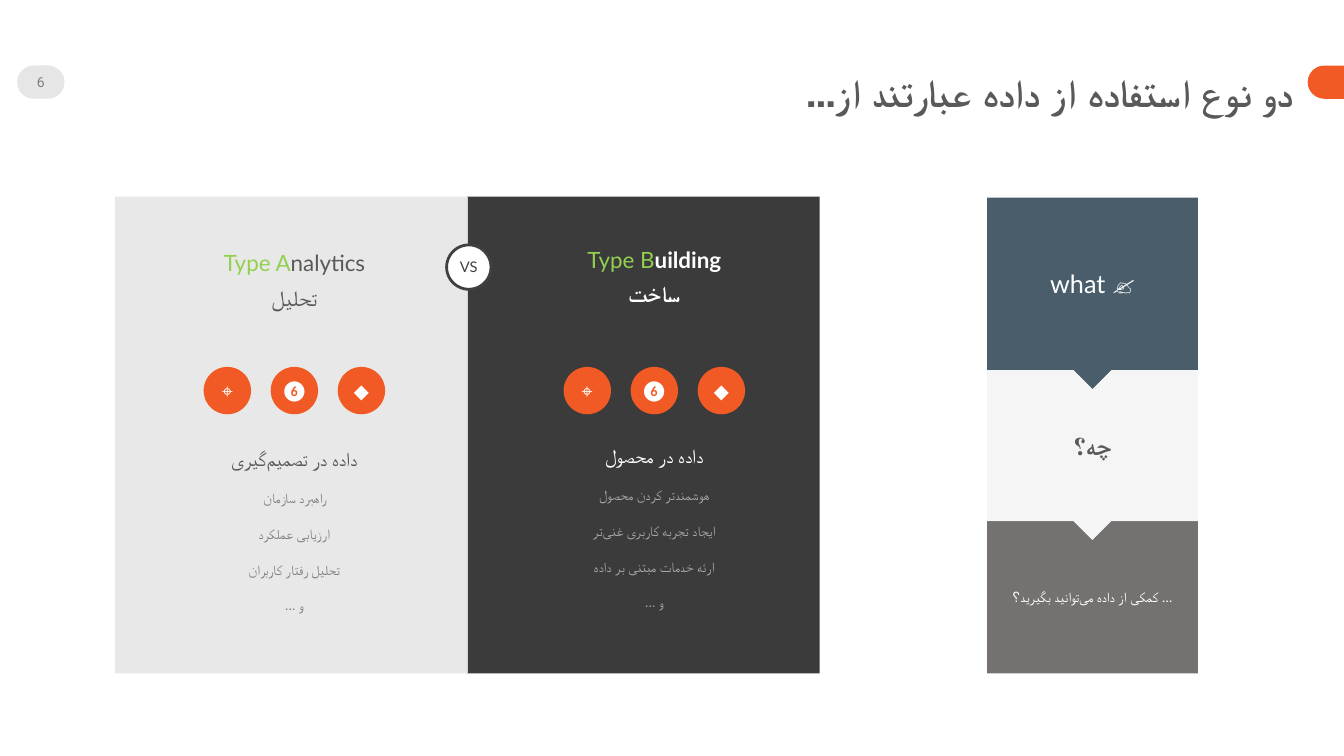
from lxml.etree import SubElement
from pptx import Presentation
from pptx.dml.color import RGBColor
from pptx.enum.shapes import MSO_SHAPE
from pptx.enum.text import MSO_ANCHOR, PP_ALIGN
from pptx.oxml.ns import qn
from pptx.util import Inches, Pt

ORANGE, GREEN, WHITE = "F15A24", "92D050", "FFFFFF"
DARK_TEXT, GREY_TEXT = "595959", "808080"
ICONS = ["⌖", "❻", "◆"]
NON_JOINER = chr(0x200C)


def color(value):
    return RGBColor.from_string(value)


def set_font(font, size, fill, name="Roboto", bold=None):
    font.size = Pt(size)
    font.name = name
    font.bold = bold
    font.color.rgb = color(fill)


def add_paragraph(box, text, size, fill, name="Roboto", bold=None, rtl=False,
                  align=PP_ALIGN.CENTER, line=None, before=None):
    frame = box.text_frame
    para = frame.paragraphs[0] if not frame.text else frame.add_paragraph()
    para.text = text
    para.alignment = align
    para.line_spacing = line
    if before is not None:
        para.space_before = Pt(before)
    if rtl:
        para._p.get_or_add_pPr().set("rtl", "1")
    set_font(para.font, size, fill, name, bold)
    return para


def setup_frame(box, anchor, side=0, edge=0):
    frame = box.text_frame
    frame.word_wrap = True
    frame.vertical_anchor = anchor
    frame.margin_left = frame.margin_right = Inches(side)
    frame.margin_top = frame.margin_bottom = Inches(edge)


def add_text_box(page, left, top, width, height, anchor=MSO_ANCHOR.TOP):
    box = page.shapes.add_textbox(Inches(left), Inches(top), Inches(width), Inches(height))
    setup_frame(box, anchor)
    return box


def add_block(page, kind, left, top, width, height, fill, opacity=100, side=0):
    shape = page.shapes.add_shape(kind, Inches(left), Inches(top), Inches(width), Inches(height))
    shape.shadow.inherit = False
    shape.fill.solid()
    shape.fill.fore_color.rgb = color(fill)
    if opacity < 100:
        tint = shape._element.spPr.find(qn("a:solidFill"))[0]
        SubElement(tint, qn("a:alpha")).set("val", str(opacity * 1000))
    shape.line.fill.background()
    setup_frame(shape, MSO_ANCHOR.MIDDLE, side)
    return shape


def add_header(page, left, top, width):
    pill = add_block(page, MSO_SHAPE.ROUNDED_RECTANGLE, left, top, 0.47, 0.33, "E7E6E6")
    pill.adjustments[0] = 0.5
    add_paragraph(pill, "6", 10, GREY_TEXT)
    tab = add_block(page, MSO_SHAPE.ROUND_2_SAME_RECTANGLE,
                    left + width - 0.345, top - 0.015, 0.33, 0.36, ORANGE)
    tab.adjustments[0] = 0.5
    tab.rotation = 270
    title = add_text_box(page, left + 0.73, top + 0.02, 11.93, 0.49, MSO_ANCHOR.MIDDLE)
    add_paragraph(title, "دو نوع استفاده از داده عبارتند از...", 28, DARK_TEXT,
                  bold=True, rtl=True, align=PP_ALIGN.RIGHT, before=10)


def add_question_column(page, left, top, width):
    cards = [
        (0, 1.71, "495D6B", 100, "495D6B", "what ✍", 18, WHITE, "Lato", None),
        (1.7, 1.51, "F2F2F2", 70, "F6F6F6", "چه؟", 18, DARK_TEXT, "Roboto", True),
        (3.21, 1.51, "767171", 100, None,
         f"... کمکی از داده می{NON_JOINER}توانید بگیرید؟", 10, WHITE, "Roboto", None),
    ]
    pointer = 0.28
    for offset, height, fill, opacity, tip, text, size, ink, name, bold in reversed(cards):
        card = add_block(page, MSO_SHAPE.RECTANGLE, left, top + offset, width, height,
                         fill, opacity, side=0.2)
        add_paragraph(card, text, size, ink, name, bold, rtl=name == "Roboto")
        if tip:
            diamond = add_block(page, MSO_SHAPE.RECTANGLE, left + (width - pointer) / 2,
                                top + offset + height - 0.15, pointer, pointer, tip)
            diamond.rotation = 45


def add_type_panel(page, left, top, fill, shift, rise, heading, subject, items,
                   ink, item_ink, bold):
    add_block(page, MSO_SHAPE.RECTANGLE, left, top, 3.5, 4.73, fill, 90)
    inner = left + 0.43 + shift

    name_box = add_text_box(page, inner + 0.2, top + 0.55 - rise, 2.3, 0.29)
    prefix, rest, translation = heading
    para = add_paragraph(name_box, prefix, 16, GREEN, "Lato", line=0.9, before=7.5)
    set_font(para.runs[0].font, 16, GREEN, "Lato")
    span = para.add_run()
    span.text = rest
    set_font(span.font, 16, ink, "Lato", bold)
    add_paragraph(name_box, translation, 16, ink, bold=bold, line=0.9, before=7.5)

    for index, icon in enumerate(ICONS):
        circle = add_block(page, MSO_SHAPE.OVAL, inner + 0.45 + 0.665 * index, top + 1.69,
                           0.47, 0.47, ORANGE)
        add_paragraph(circle, icon, 14, WHITE, "Lato")

    list_box = add_text_box(page, inner, top + 2.37 - rise, 2.7, 1.87)
    add_paragraph(list_box, subject, 14, ink, rtl=True, line=1.5, before=7.5)
    for item in items:
        add_paragraph(list_box, item, 10, item_ink, rtl=True, line=1.5, before=7.5)


def add_versus_badge(page, left, top, size):
    badge = add_block(page, MSO_SHAPE.OVAL, left, top, size, size, WHITE)
    badge.line.color.rgb = color("404040")
    badge.line.width = Pt(2)
    add_paragraph(badge, "VS", 10.5, "404040", "Lato")


def main():
    deck = Presentation()
    deck.slide_width, deck.slide_height = Inches(13.33), Inches(7.5)
    page = deck.slides.add_slide(deck.slide_layouts[6])
    add_header(page, 0.17, 0.65, 13.16)
    add_question_column(page, 9.79, 1.96, 2.09)
    add_type_panel(page, 4.63, 1.95, "262626", 0.08, 0.03,
                   ("Type B", "uilding", "ساخت"), "داده در محصول",
                   ["هوشمندتر کردن محصول", f"ایجاد تجربه کاربری غنی{NON_JOINER}تر",
                    "ارئه خدمات مبتنی بر داده", "و ..."], WHITE, "A6A6A6", True)
    add_type_panel(page, 1.14, 1.95, "E7E6E6", 0, 0,
                   ("Type A", "nalytics", "تحلیل"), f"داده در تصمیم{NON_JOINER}گیری",
                   ["راهبرد سازمان", "ارزیابی عملکرد", "تحلیل رفتار کاربران", "و ..."],
                   DARK_TEXT, GREY_TEXT, None)
    add_versus_badge(page, 4.43, 2.43, 0.44)
    deck.save("out.pptx")


if __name__ == "__main__":
    main()
